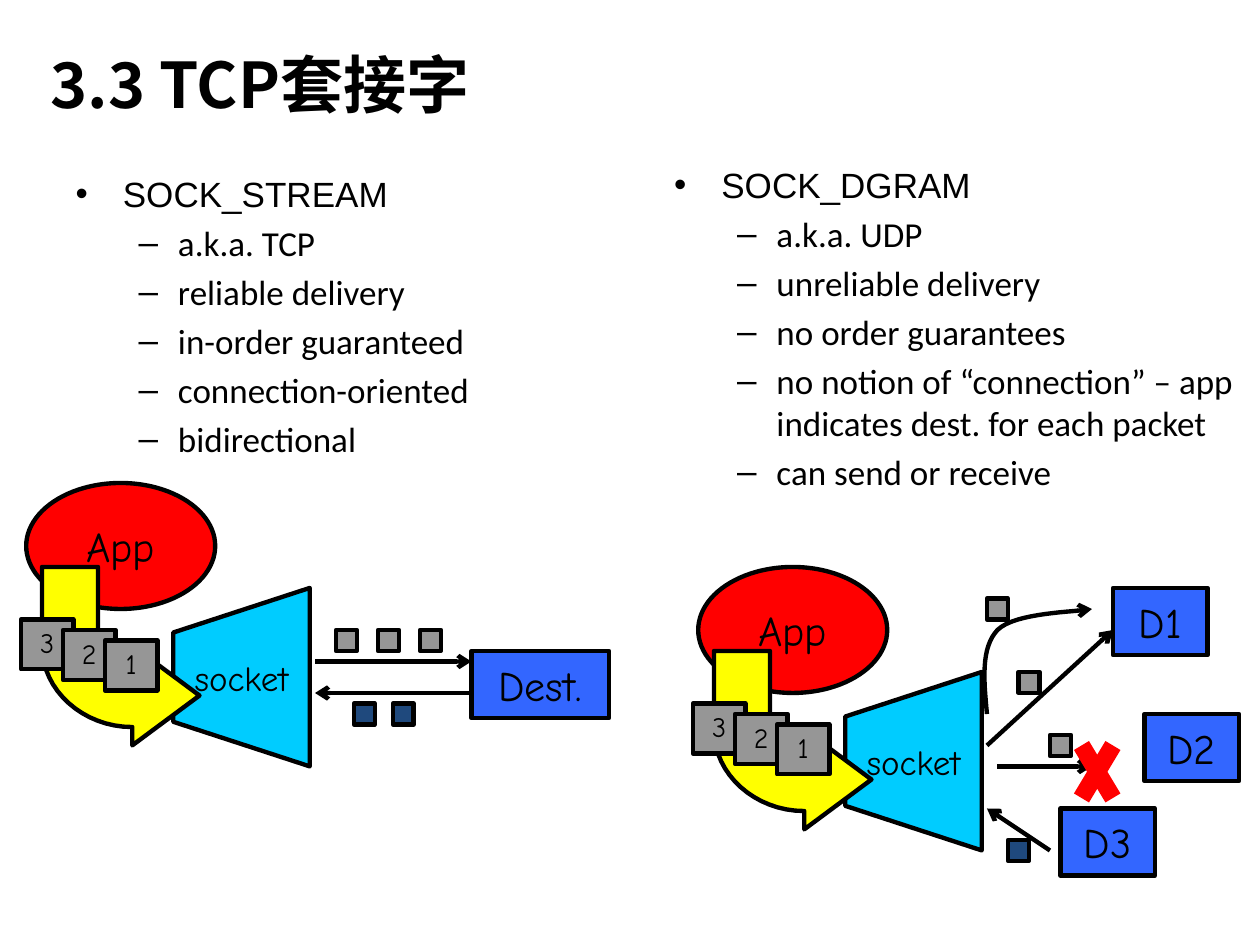
"""Builds a slide that compares stream sockets with datagram sockets."""
from lxml.etree import SubElement
from pptx import Presentation
from pptx.dml.color import RGBColor
from pptx.enum.shapes import MSO_CONNECTOR, MSO_SHAPE
from pptx.enum.text import MSO_ANCHOR as ANCHOR, MSO_AUTO_SIZE, PP_ALIGN as ALIGN
from pptx.oxml.ns import qn
from pptx.util import Inches, Pt

BLACK = RGBColor(0x00, 0x00, 0x00)
RED = RGBColor(0xFF, 0x00, 0x00)
YELLOW = RGBColor(0xFF, 0xFF, 0x00)
CYAN = RGBColor(0x00, 0xCC, 0xFF)
BLUE = RGBColor(0x33, 0x66, 0xFF)
NAVY = RGBColor(0x1F, 0x49, 0x7D)
GRAY = RGBColor(0x96, 0x96, 0x96)
CELL = Inches(1) // 12
DIAGRAM_FONT = "Comic Neue"
TITLE_FONT = "Noto Sans CJK SC"
STREAM = ["SOCK_STREAM", "a.k.a. TCP", "reliable delivery", "in-order guaranteed",
          "connection-oriented", "bidirectional"]
DGRAM = ["SOCK_DGRAM", "a.k.a. UDP", "unreliable delivery", "no order guarantees",
         "no notion of “connection” – app indicates dest. for each packet",
         "can send or receive"]


def cells(origin, *point):
    """Turn a point in grid cells from an origin into slide lengths."""
    return [round((o + v) * CELL) for o, v in zip(origin, point)]


def place(sp, left, top, width, height):
    """Move a placeholder to a box in inches."""
    sp.left, sp.top = Inches(left), Inches(top)
    sp.width, sp.height = Inches(width), Inches(height)


def style_run(r, font, size, bold=False):
    """Give a run its font, size and black colour."""
    r.font.name, r.font.size, r.font.bold = font, Pt(size), bold
    r.font.color.rgb = BLACK


def write(sp, text, size, anchor):
    """Write a centred diagram label in a shape."""
    tf = sp.text_frame
    tf.word_wrap, tf.vertical_anchor = True, anchor
    p = tf.paragraphs[0]
    p.text, p.alignment = text, ALIGN.CENTER
    style_run(p.runs[0], DIAGRAM_FONT, size)


def paint(sp, fill):
    """Fill and outline a shape without a shadow."""
    sp.shadow.inherit = False
    if fill is None:
        sp.fill.background()
    else:
        sp.fill.solid()
        sp.fill.fore_color.rgb = fill
    sp.line.color.rgb, sp.line.width = BLACK, Pt(2.5)


def block(s, origin, x, y, w, h, fill, text="", size=24,
          anchor=ANCHOR.MIDDLE, kind=MSO_SHAPE.RECTANGLE):
    """Add a filled shape on the grid, with an optional label."""
    sp = s.shapes.add_shape(kind, *cells(origin, x, y), *cells((0, 0), w, h))
    paint(sp, fill)
    if text:
        write(sp, text, size, anchor)


def label(s, origin, x, y, w, h, text, size, anchor):
    """Add a text box on the grid."""
    sp = s.shapes.add_textbox(*cells(origin, x, y), *cells((0, 0), w, h))
    write(sp, text, size, anchor)


def outline(s, origin, points, fill=None, close=True):
    """Add a freeform through grid points."""
    start, *rest = [cells(origin, *pt) for pt in points]
    builder = s.shapes.build_freeform(*start)
    builder.add_line_segments(rest, close=close)
    sp = builder.convert_to_shape()
    paint(sp, fill)
    return sp


def curve(a, b, c, d, steps=16):
    """List the points of a cubic curve."""
    return [tuple((1 - t) ** 3 * p + 3 * t * (1 - t) ** 2 * q
                  + 3 * t * t * (1 - t) * u + t ** 3 * v
                  for p, q, u, v in zip(a, b, c, d))
            for t in (i / steps for i in range(steps + 1))]


def arrowhead(sp):
    """End a line with an open arrow."""
    SubElement(sp.line._get_or_add_ln(), qn("a:tailEnd"), type="arrow")


def line(s, origin, start, end, color=BLACK, width=2.5, arrow=True):
    """Add a straight line between grid points."""
    cx = s.shapes.add_connector(MSO_CONNECTOR.STRAIGHT,
                                *cells(origin, *start), *cells(origin, *end))
    cx.line.color.rgb, cx.line.width = color, Pt(width)
    if arrow:
        arrowhead(cx)
    SubElement(cx._element.spPr, qn("a:effectLst"))


def packets(s, origin, points, fill):
    """Add small square packets."""
    for x, y in points:
        block(s, origin, x, y, 2, 2, fill)


def app_socket(s, origin):
    """Draw an application that feeds numbered packets to its socket."""
    block(s, origin, 0.5, 0, 18, 12, RED, kind=MSO_SHAPE.OVAL)
    label(s, origin, 0, 3, 19, 6, "App", 24, ANCHOR.TOP)
    outline(s, origin, [(27.5, 10), (14.5, 14.25), (14.5, 22.75), (27.5, 27)], CYAN)
    label(s, origin, 10, 16, 22, 5, "socket", 20, ANCHOR.MIDDLE)
    outer = curve((10.6, 23.25), (5.9, 23.25), (2, 19.75), (2, 15.5))
    inner = curve((7.33, 15.5), (7.33, 16.4), (8.8, 17.25), (10.6, 17.25))
    outline(s, origin, [(17, 20.25), (10.6, 25), *outer, (2, 8), (7.33, 8),
                        *inner, (10.6, 15.5)], YELLOW)
    for i, number in enumerate("321"):
        block(s, origin, 4 * i, 13 + i, 5, 4.75, GRAY, number, 16, ANCHOR.TOP)


def stream_diagram(s, origin):
    """Draw the two-way link between a stream socket and one destination."""
    app_socket(s, origin)
    packets(s, origin, [(30 + 4 * i, 14) for i in range(3)], GRAY)
    line(s, origin, (28, 17), (42.9, 17))
    block(s, origin, 42.9, 16, 13.1, 6.4, BLUE, "Dest.")
    line(s, origin, (42.9, 20), (28, 20))
    packets(s, origin, [(31.7, 21), (35.4, 21)], NAVY)


def dgram_diagram(s, origin):
    """Draw a datagram socket with three destinations and one lost packet."""
    app_socket(s, origin)
    packets(s, origin, [(28, 3), (31, 10), (34, 16)], GRAY)
    line(s, origin, (28, 17), (40, 6))
    for text, x, y in [("D1", 40, 2), ("D3", 35, 23), ("D2", 43, 14)]:
        block(s, origin, x, y, 9, 6.4, BLUE, text)
    bend = (curve((28, 14), (27.7, 10.8), (27.4, 7.7), (29, 6))
            + curve((29, 6), (30.7, 4.3), (36.5, 4.3), (38, 4))[1:])
    arrowhead(outline(s, origin, bend, close=False))
    line(s, origin, (29, 19), (38, 19))
    for x1, x2 in [(37, 40), (40, 37)]:
        line(s, origin, (x1, 17), (x2, 22), RED, 10, arrow=False)
    line(s, origin, (34, 27), (28, 23))
    packets(s, origin, [(30, 26)], NAVY)


def heading(sp, text, box):
    """Fill and format the title placeholder."""
    place(sp, *box)
    tf = sp.text_frame
    tf.text, tf.vertical_anchor = text, ANCHOR.MIDDLE
    p = tf.paragraphs[0]
    p.alignment = ALIGN.LEFT
    style_run(p.runs[0], TITLE_FONT, 36, bold=True)
    SubElement(p.runs[0].font._element, qn("a:ea"), typeface=TITLE_FONT)


def bullets(sp, items, box):
    """Fill a body placeholder with a head item and its sub-items."""
    place(sp, *box)
    tf = sp.text_frame
    tf.text = "\n".join(items)
    tf.auto_size = MSO_AUTO_SIZE.NONE
    for i, p in enumerate(tf.paragraphs):
        p.level = min(i, 1)
        style_run(p.runs[0], "Calibri" if i else "Arial", 20)


def main():
    """Build and save the slide."""
    prs = Presentation()
    prs.slide_width, prs.slide_height = Inches(10), Inches(7.5)
    s = prs.slides.add_slide(prs.slide_layouts[3])
    title, left, right = s.placeholders
    heading(title, "3.3 TCP套接字", (0.3, 0.28, 9.2, 0.77))
    bullets(left, STREAM, (0.5, 1.32, 4.42, 5.28))
    bullets(right, DGRAM, (5.25, 1.25, 4.75, 5.08))
    stream_diagram(s, (2, 46))
    dgram_diagram(s, (66, 54))
    prs.save("out.pptx")


if __name__ == "__main__":
    main()
